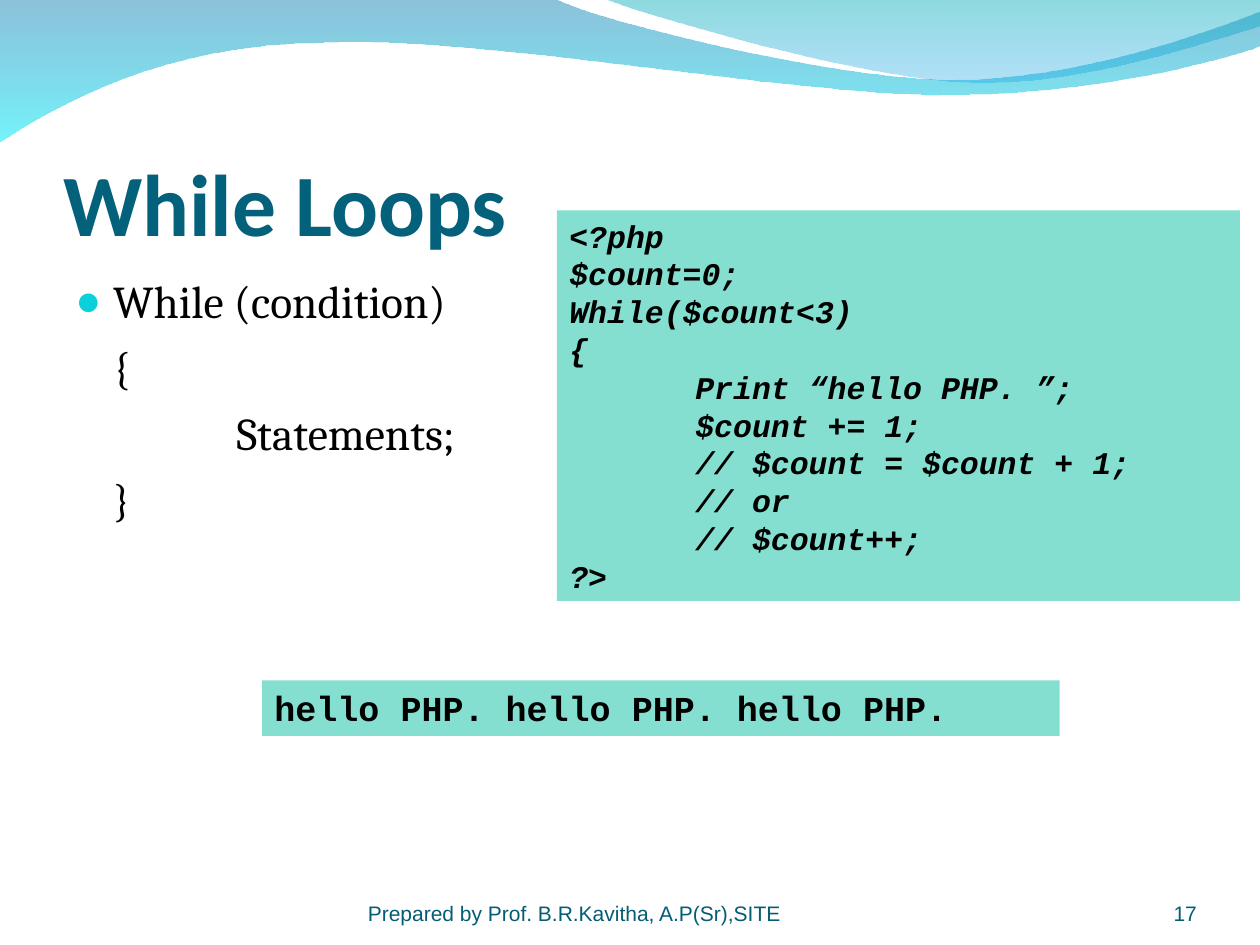
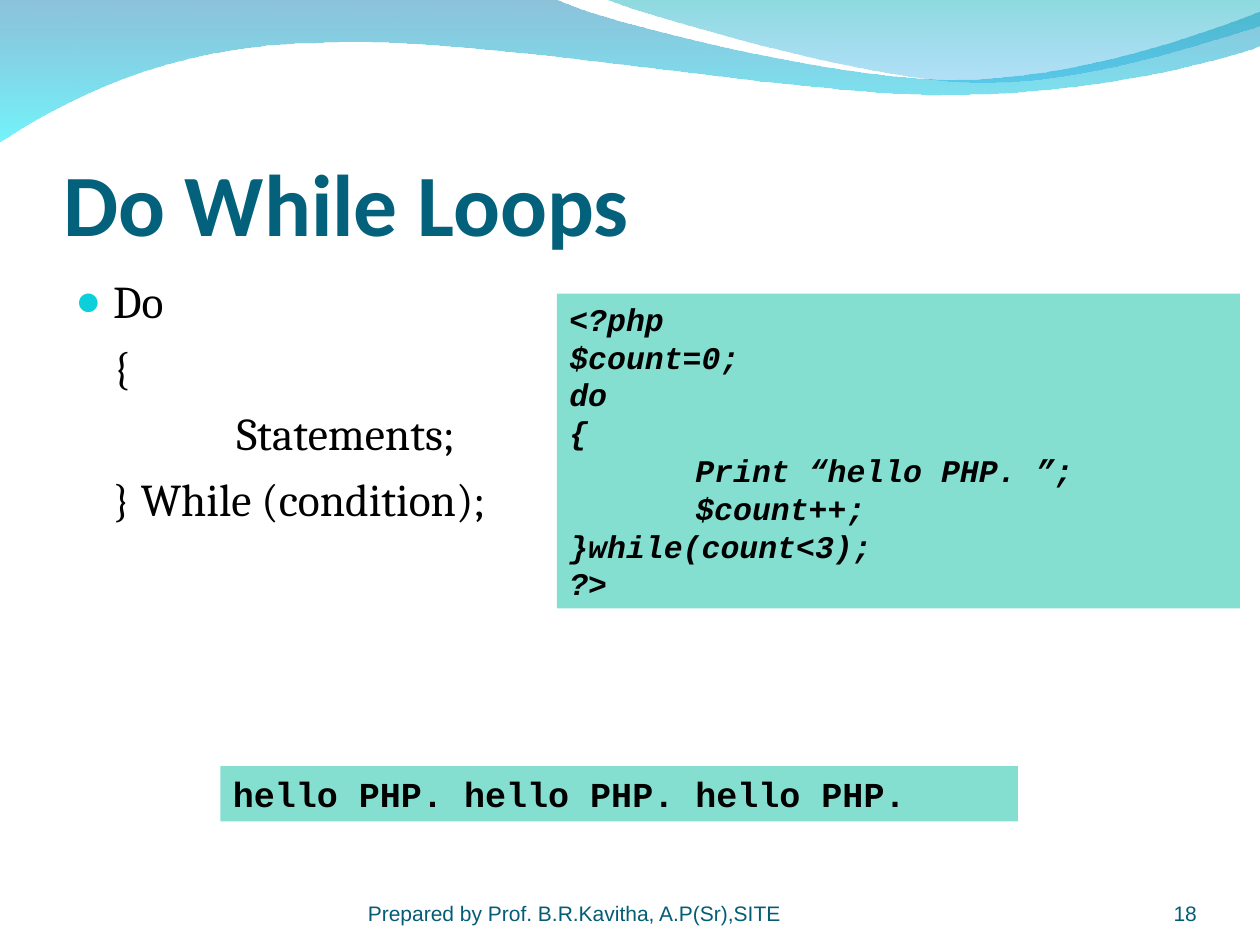
import pptx
import pptx.util
import pptx.dml.color
import pptx.enum.shapes
import pptx.enum.text
import pptx.oxml.ns
from lxml import etree

Inches = pptx.util.Inches
Pt = pptx.util.Pt
RGBColor = pptx.dml.color.RGBColor
ALIGN = pptx.enum.text.PP_ALIGN
ANCHOR = pptx.enum.text.MSO_ANCHOR
qn = pptx.oxml.ns.qn

TITLE_BLUE = RGBColor(0x04, 0x61, 0x7B)
FOOTER_BLUE = RGBColor(0x04, 0x5C, 0x75)
BULLET_CYAN = RGBColor(0x0B, 0xD0, 0xD9)
PANEL_GREEN = RGBColor(0x85, 0xDF, 0xD0)
BLACK = RGBColor(0, 0, 0)

FOOTER = "Prepared by Prof. B.R.Kavitha, A.P(Sr),SITE"
OUTPUT = "hello PHP. hello PHP. hello PHP."
SYNTAX_INDENTS = (0.3, 0.3, 1.28, 0.3)

PAGES = [
    {
        "number": 17,
        "title": "While Loops",
        "syntax": ["While (condition)", "{", "Statements;", "}"],
        "code": [
            "<?php", "$count=0;", "While($count<3)", "{",
            "\tPrint “hello PHP. ”;", "\t$count += 1;",
            "\t// $count = $count + 1;", "\t// or", "\t// $count++;", "?>",
        ],
        "code_at": (4.42, 1.67, 5.42, 3.1),
        "output_at": (2.08, 5.4, 6.33, 0.44),
    },
    {
        "number": 18,
        "title": "Do While Loops",
        "syntax": ["Do", "{", "Statements;", "} While (condition);"],
        "code": [
            "<?php", "$count=0;", "do", "{",
            "\tPrint “hello PHP. ”;", "\t$count++;", "}while(count<3);", "?>",
        ],
        "code_at": (4.42, 2.33, 5.42, 2.5),
        "output_at": (1.75, 6.08, 6.33, 0.44),
    },
]

WAVES = [
    {
        "start": (0, -0.01),
        "steps": [
            [(4.4, -0.01)],
            [(4.76, 0.17), (6.64, 0.63), (7.58, 0.63)],
            [(8.53, 0.63), (9.58, 0.26), (10, 0.09)],
            [(10.01, 0.36)],
            [(9.83, 0.44), (8.7, 0.76), (7.46, 0.75)],
            [(6.22, 0.75), (3.82, 0.28), (2.57, 0.34)],
            [(1.29, 0.35), (0.46, 0.83), (-0.01, 1.13)],
        ],
        "stops": [(RGBColor(0x00, 0x79, 0xAF), 45), (RGBColor(0x00, 0xEB, 0xF8), 55)],
    },
    {
        "start": (4.79, -0.01),
        "steps": [
            [(5.09, 0.11), (6.82, 0.62), (7.69, 0.65)],
            [(8.56, 0.69), (9.61, 0.32), (10, 0.21)],
            [(10, 0)],
        ],
        "stops": [(RGBColor(0x00, 0xAD, 0xB6), 45), (RGBColor(0x00, 0x9B, 0xE5), 30)],
    },
]


def bend_segments(shape, steps):
    segments = list(shape.element.spPr.iter(qn("a:lnTo")))
    for segment, step in zip(segments, steps):
        if len(step) == 1:
            continue
        curve = etree.Element(qn("a:cubicBezTo"))
        for x, y in step:
            etree.SubElement(curve, qn("a:pt"), x=str(Inches(x) - shape.left),
                             y=str(Inches(y) - shape.top))
        segment.getparent().replace(segment, curve)


def add_wave(page, wave):
    corners = [wave["start"]] + [step[-1] for step in wave["steps"]]
    points = [(Inches(x), Inches(y)) for x, y in corners]
    builder = page.shapes.build_freeform(*points[0])
    builder.add_line_segments(points[1:], close=True)
    shape = builder.convert_to_shape()
    bend_segments(shape, wave["steps"])
    shape.shadow.inherit = False
    shape.line.fill.background()
    shape.fill.gradient()
    shape.fill.gradient_angle = 270
    for position, (stop, (color, _)) in enumerate(zip(shape.fill.gradient_stops, wave["stops"])):
        stop.color.rgb = color
        stop.position = position
    colors = shape.element.spPr.iter(qn("a:srgbClr"))
    for color_element, (_, opacity) in zip(colors, wave["stops"]):
        etree.SubElement(color_element, qn("a:alpha"), val=str(opacity * 1000))
    return shape


def move_waves_to_layout(page, layout):
    for index, wave in enumerate(WAVES):
        shape = add_wave(page, wave)
        shape.element.nvSpPr.cNvPr.set("id", str(100 + index))
        layout.shapes.element.insert(2 + index, shape.element)


def add_tabs(para):
    tabs = etree.SubElement(para._p.get_or_add_pPr(), qn("a:tabLst"))
    for inch in range(8):
        etree.SubElement(tabs, qn("a:tab"), pos=str(Inches(inch)), algn="l")


def add_bullet(para, hanging):
    properties = para._p.get_or_add_pPr()
    properties.set("indent", str(-Inches(hanging)))
    color = etree.SubElement(properties, qn("a:buClr"))
    etree.SubElement(color, qn("a:srgbClr"), val=str(BULLET_CYAN))
    etree.SubElement(properties, qn("a:buSzPct"), val="95000")
    etree.SubElement(properties, qn("a:buFont"), typeface="Arial")
    etree.SubElement(properties, qn("a:buChar"), char="●")


def write(box, lines, font, size, color=BLACK, bold=False, italic=False, align=ALIGN.LEFT,
          anchor=ANCHOR.TOP, margins=(0.1, 0.05, 0.1, 0.05), indents=(), gap=0):
    frame = box.text_frame
    frame.word_wrap = True
    frame.auto_size = pptx.enum.text.MSO_AUTO_SIZE.NONE
    frame.vertical_anchor = anchor
    frame.margin_left, frame.margin_top, frame.margin_right, frame.margin_bottom = map(Inches, margins)
    for index, line in enumerate(lines):
        para = frame.add_paragraph() if index else frame.paragraphs[0]
        para.alignment = align
        if indents:
            para._p.get_or_add_pPr().set("marL", str(Inches(indents[index])))
            if index == 0:
                add_bullet(para, indents[0])
        if index and gap:
            para.space_before = Pt(gap)
        if "\t" in line:
            add_tabs(para)
        span = para.add_run()
        span.text = line
        span.font.name = font
        span.font.size = Pt(size)
        span.font.bold = bold
        span.font.italic = italic
        span.font.color.rgb = color


def add_box(page, *place):
    return page.shapes.add_textbox(*map(Inches, place))


def add_panel(page, place):
    panel = page.shapes.add_shape(pptx.enum.shapes.MSO_SHAPE.RECTANGLE, *map(Inches, place))
    panel.shadow.inherit = False
    panel.fill.solid()
    panel.fill.fore_color.rgb = PANEL_GREEN
    panel.line.fill.background()
    return panel


def fill_page(page, content):
    title = page.shapes.title
    title.left, title.top, title.width, title.height = map(Inches, (0.5, 0.77, 9, 1.25))
    write(title, [content["title"]], "Calibri", 50, color=TITLE_BLUE, bold=True,
          anchor=ANCHOR.BOTTOM, margins=(0, 0.05, 0, 0))
    write(add_box(page, 0.5, 2.12, 9, 4.8), content["syntax"], "Cambria", 26,
          indents=SYNTAX_INDENTS, gap=6.5)
    write(add_panel(page, content["code_at"]), content["code"], "Courier New", 18,
          bold=True, italic=True)
    write(add_panel(page, content["output_at"]), [OUTPUT], "Courier New", 20, bold=True)
    footer_style = {"color": FOOTER_BLUE, "anchor": ANCHOR.BOTTOM, "margins": (0, 0, 0, 0)}
    write(add_box(page, 8.67, 6.95, 0.83, 0.4), [str(content["number"])], "Arial", 12,
          align=ALIGN.RIGHT, **footer_style)
    write(add_box(page, 2.92, 6.95, 3.67, 0.4), [FOOTER], "Arial", 12, **footer_style)


def main():
    deck = pptx.Presentation()
    deck.slide_width, deck.slide_height = Inches(10), Inches(7.5)
    layout = deck.slide_layouts[5]
    pages = [deck.slides.add_slide(layout) for _ in PAGES]
    move_waves_to_layout(pages[0], layout)
    for page, content in zip(pages, PAGES):
        fill_page(page, content)
    deck.save("out.pptx")


if __name__ == "__main__":
    main()
